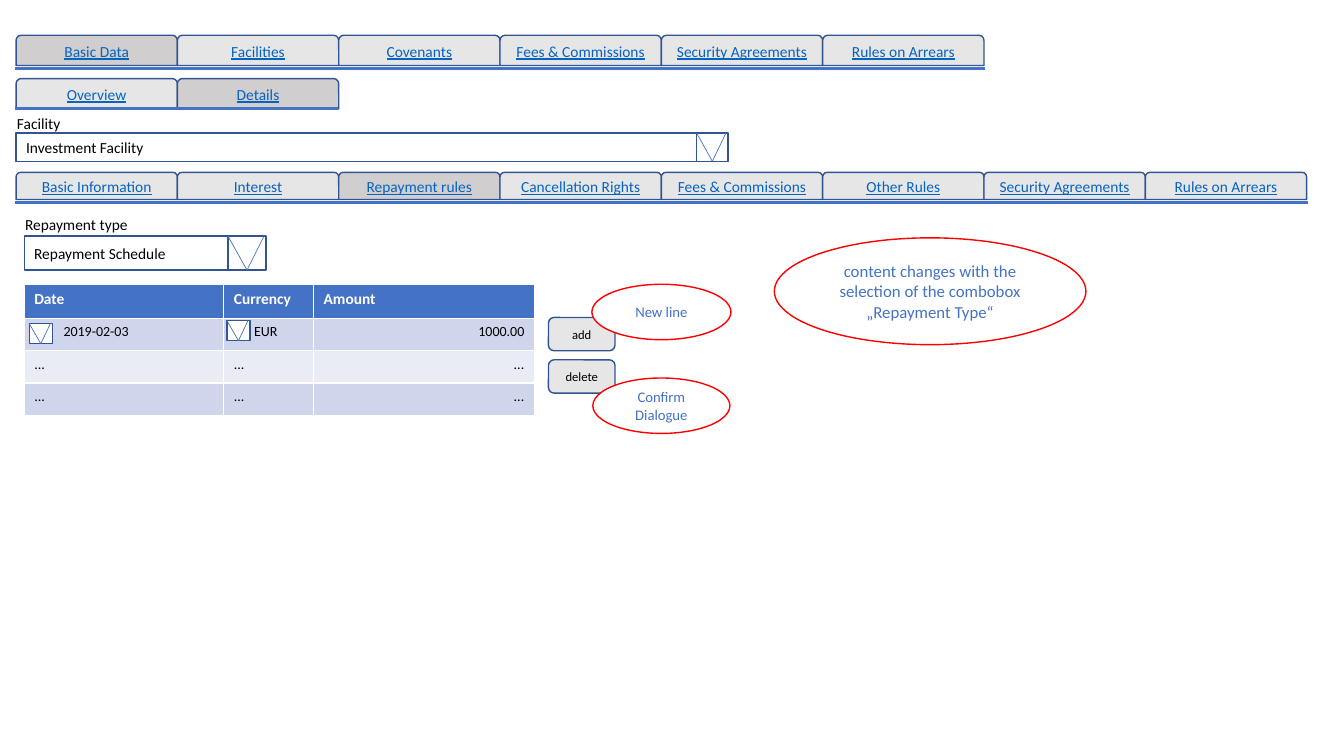
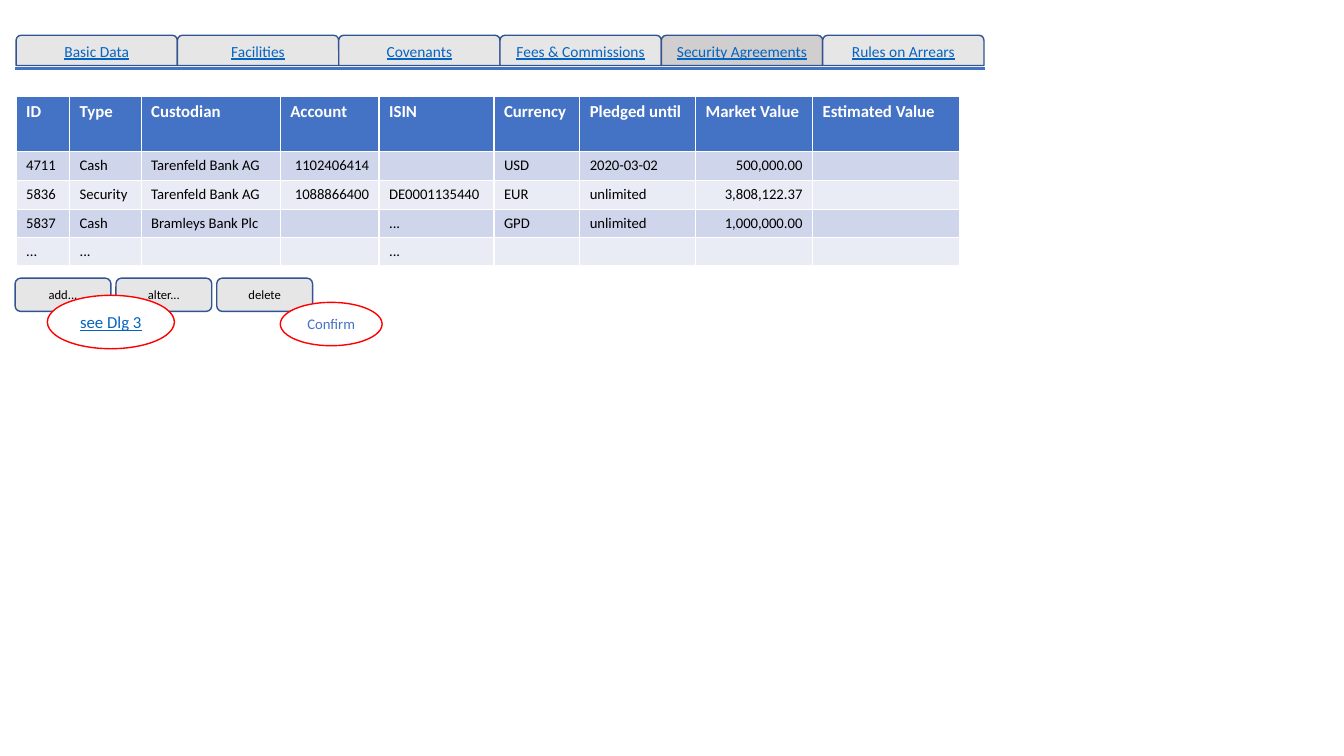
"""Build two mock-up slides of a credit facility form."""
import dataclasses
import typing

import lxml.etree
import pptx
import pptx.dml.color
import pptx.enum.shapes
import pptx.enum.text
import pptx.oxml.ns
import pptx.util

Inches = pptx.util.Inches
Kind = pptx.enum.shapes.MSO_SHAPE
Align = pptx.enum.text.PP_ALIGN

FACE = "Calibri"
WHITE = "FFFFFF"
BLACK = "000000"
BLUE = "4472C4"
EDGE = "325491"
LINK = "0563C1"
RED = "FF0000"
GREY = "E7E6E6"
DARK = "D0CECE"
BANDS = ("CFD5EA", "E9EBF5")
LEFT = 0.16
STEP = 1.6


@dataclasses.dataclass(frozen=True)
class Bar:
    """A row of tabs with a rule below."""
    top: float
    high: float
    rule: float
    end: float
    names: tuple[str, ...]
    on: str


@dataclasses.dataclass(frozen=True)
class Box:
    """A place on the slide in inches."""
    left: float
    top: float
    wide: float
    high: float


@dataclasses.dataclass(frozen=True)
class Note:
    """A red oval with a remark."""
    box: Box
    text: str
    size: float = 10.5
    link: bool = False


@dataclasses.dataclass(frozen=True)
class Grid:
    """A table with its sizes and texts."""
    left: float
    top: float
    cols: tuple[float, ...]
    rows: tuple[float, ...]
    cells: tuple[tuple[str, ...], ...]
    right: tuple[int, ...]
    head: float
    body: float


MAIN = ("Basic Data", "Facilities", "Covenants", "Fees & Commissions",
        "Security Agreements", "Rules on Arrears")
PARTS = ("Basic Information", "Interest", "Repayment rules",
         "Cancellation Rights", "Fees & Commissions", "Other Rules",
         "Security Agreements", "Rules on Arrears")

PLAN = Grid(
    0.24, 2.82, (1.98, 0.89, 2.19), (0.34, 0.32, 0.32, 0.32),
    (("Date", "Currency", "Amount"),
     ("2019-02-03", "EUR", "1000.00"),
     ("...", "...", "..."),
     ("...", "...", "...")),
    (2,), 11, 10)

PLEDGES = Grid(
    LEFT, 0.96, (0.53, 0.71, 1.38, 0.98, 1.14, 0.85, 1.15, 1.16, 1.46),
    (0.54, 0.29, 0.29, 0.25, 0.25),
    (("ID", "Type", "Custodian", "Account", "ISIN", "Currency",
      "Pledged until", "Market Value", "Estimated Value"),
     ("4711", "Cash", "Tarenfeld Bank AG", "1102406414", "", "USD",
      "2020-03-02", "500,000.00", ""),
     ("5836", "Security", "Tarenfeld Bank AG", "1088866400", "DE0001135440",
      "EUR", "unlimited", "3,808,122.37", ""),
     ("5837", "Cash", "Bramleys Bank Plc", "", "...", "GPD", "unlimited",
      "1,000,000.00", ""),
     ("...", "...", "", "", "...", "", "", "", "")),
    (3, 7), 12, 10.5)


def hue(code: str) -> pptx.dml.color.RGBColor:
    """Turn a hex string into a colour."""
    return pptx.dml.color.RGBColor.from_string(code)


def span(box: Box) -> tuple[int, ...]:
    """Give the place of a box as lengths."""
    return tuple(Inches(n) for n in dataclasses.astuple(box))


def write(frame: typing.Any, text: str, size: float, color: str = BLACK,
          align: Align = Align.LEFT, bold: bool = False,
          link: bool = False) -> None:
    """Set and format the one paragraph of a frame."""
    frame.text = text
    para = frame.paragraphs[0]
    para.alignment = align
    for run in para.runs:
        font = run.font
        font.name = FACE
        font.size = pptx.util.Pt(size)
        font.bold = bold
        font.underline = True if link else None
        font.color.rgb = hue(LINK if link else color)
    if not text:
        lxml.etree.SubElement(para._p, pptx.oxml.ns.qn("a:endParaRPr"),
                              sz=str(int(size * 100)))


def draw(shapes: typing.Any, kind: Kind, box: Box, fill: str = WHITE,
         edge: str = EDGE) -> typing.Any:
    """Add a filled and outlined shape."""
    shape = shapes.add_shape(kind, *span(box))
    shape.shadow.inherit = False
    shape.fill.solid()
    shape.fill.fore_color.rgb = hue(fill)
    shape.line.color.rgb = hue(edge)
    shape.line.width = pptx.util.Pt(1)
    return shape


def rule(shapes: typing.Any, x1: float, y1: float, x2: float, y2: float,
         width: float) -> typing.Any:
    """Add a straight blue line."""
    line = shapes.add_connector(
        pptx.enum.shapes.MSO_CONNECTOR.STRAIGHT,
        Inches(x1), Inches(y1), Inches(x2), Inches(y2))
    line.line.color.rgb = hue(BLUE)
    line.line.width = pptx.util.Pt(width)
    lxml.etree.SubElement(line._element.spPr,
                          pptx.oxml.ns.qn("a:effectLst"))
    return line


def label(shapes: typing.Any, box: Box, text: str) -> None:
    """Add a plain field label."""
    frame = shapes.add_textbox(*span(box)).text_frame
    frame.word_wrap = True
    write(frame, text, 11)


def tabs(slide: typing.Any, bar: Bar) -> None:
    """Add a group of tabs."""
    shapes = slide.shapes.add_group_shape().shapes
    for i, name in enumerate(bar.names):
        box = Box(LEFT + i * STEP, bar.top, STEP, bar.high)
        tab = draw(shapes, Kind.ROUND_2_SAME_RECTANGLE, box,
                   DARK if name == bar.on else GREY)
        write(tab.text_frame, name, 11, align=Align.CENTER, link=True)
    rule(shapes, 0.15, bar.rule, bar.end, bar.rule, 2)


def arrow(shapes: typing.Any, box: Box) -> None:
    """Add the button that opens a list."""
    knob = draw(shapes, Kind.RECTANGLE, box)
    for x in (box.left, box.left + box.wide - 0.02):
        line = rule(shapes, x, box.top, box.left + box.wide / 2,
                    box.top + box.high, 0.5)
        line.end_connect(knob, 2)


def combo(slide: typing.Any, box: Box, knob: float, text: str) -> None:
    """Add a field with its list button."""
    shapes = slide.shapes.add_group_shape().shapes
    field = draw(shapes, Kind.RECTANGLE, box)
    write(field.text_frame, text, 11)
    arrow(shapes, Box(box.left + box.wide, box.top, knob, box.high))


def button(shapes: typing.Any, box: Box, text: str) -> None:
    """Add a push button."""
    shape = draw(shapes, Kind.ROUNDED_RECTANGLE, box, GREY)
    write(shape.text_frame, text, 9, align=Align.CENTER)


def remark(shapes: typing.Any, note: Note) -> None:
    """Add a red oval remark."""
    shape = draw(shapes, Kind.OVAL, note.box, edge=RED)
    write(shape.text_frame, note.text, note.size, BLUE, Align.CENTER,
          link=note.link)


def sheet(shapes: typing.Any, grid: Grid) -> typing.Any:
    """Add a table with a head row and banded body rows."""
    box = Box(grid.left, grid.top, sum(grid.cols), sum(grid.rows))
    table = shapes.add_table(len(grid.rows), len(grid.cols),
                             *span(box)).table
    for col, wide in zip(table.columns, grid.cols):
        col.width = Inches(wide)
    for r, (row, high) in enumerate(zip(table.rows, grid.rows)):
        row.height = Inches(high)
        for c, text in enumerate(grid.cells[r]):
            cell = table.cell(r, c)
            cell.fill.solid()
            cell.fill.fore_color.rgb = hue(BANDS[(r - 1) % 2] if r else BLUE)
            if r:
                side = Align.RIGHT if c in grid.right else Align.LEFT
                write(cell.text_frame, text, grid.body, align=side)
            else:
                write(cell.text_frame, text, grid.head, WHITE, bold=True)
    return table


def repay(slide: typing.Any) -> None:
    """Fill the slide on repayment rules."""
    shapes = slide.shapes
    for bar in (Bar(0.35, 0.3, 0.68, 9.77, MAIN, "Basic Data"),
                Bar(0.78, 0.3, 1.08, 3.35, ("Overview", "Details"),
                    "Details"),
                Bar(1.71, 0.27, 2.01, 12.97, PARTS, "Repayment rules")):
        tabs(slide, bar)
    label(shapes, Box(0.07, 1.08, 0.8, 0.29), "Facility")
    combo(slide, Box(LEFT, 1.32, 6.75, 0.28), 0.31, "Investment Facility")
    label(shapes, Box(0.15, 2.08, 1.4, 0.29), "Repayment type")
    combo(slide, Box(0.24, 2.34, 2.02, 0.34), 0.38, "Repayment Schedule")
    table = sheet(shapes, PLAN)
    for c, (x, y, inset) in enumerate(((0.29, 3.21, 0.39),
                                       (2.25, 3.18, 0.3))):
        table.cell(1, c).margin_left = Inches(inset)
        arrow(shapes.add_group_shape().shapes, Box(x, y, 0.23, 0.2))
    for i, text in enumerate(("add", "delete")):
        button(shapes, Box(5.44, 3.15 + i * 0.42, 0.66, 0.33), text)
    for note in (Note(Box(5.88, 3.75, 1.36, 0.55), "Confirm Dialogue"),
                 Note(Box(5.87, 2.82, 1.38, 0.55), "New line"),
                 Note(Box(7.68, 2.36, 3.09, 1.06),
                      "content changes with the selection of the combobox "
                      "„Repayment Type“", 12)):
        remark(shapes, note)


def pledge(slide: typing.Any) -> None:
    """Fill the slide on security agreements."""
    shapes = slide.shapes
    tabs(slide, Bar(0.35, 0.3, 0.68, 9.77, MAIN, "Security Agreements"))
    sheet(shapes, PLEDGES)
    for i, text in enumerate(("add...", "alter...", "delete")):
        button(shapes, Box(0.15 + i, 2.76, 0.95, 0.33), text)
    for note in (Note(Box(0.47, 2.93, 1.26, 0.53), "see Dlg 3", 12, True),
                 Note(Box(2.78, 3, 1.01, 0.43), "Confirm")):
        remark(shapes, note)


def main() -> None:
    """Build and save the deck."""
    deck = pptx.Presentation()
    deck.slide_width = Inches(13.33)
    deck.slide_height = Inches(7.5)
    for fill in (repay, pledge):
        fill(deck.slides.add_slide(deck.slide_layouts[6]))
    deck.save("out.pptx")


if __name__ == "__main__":
    main()
